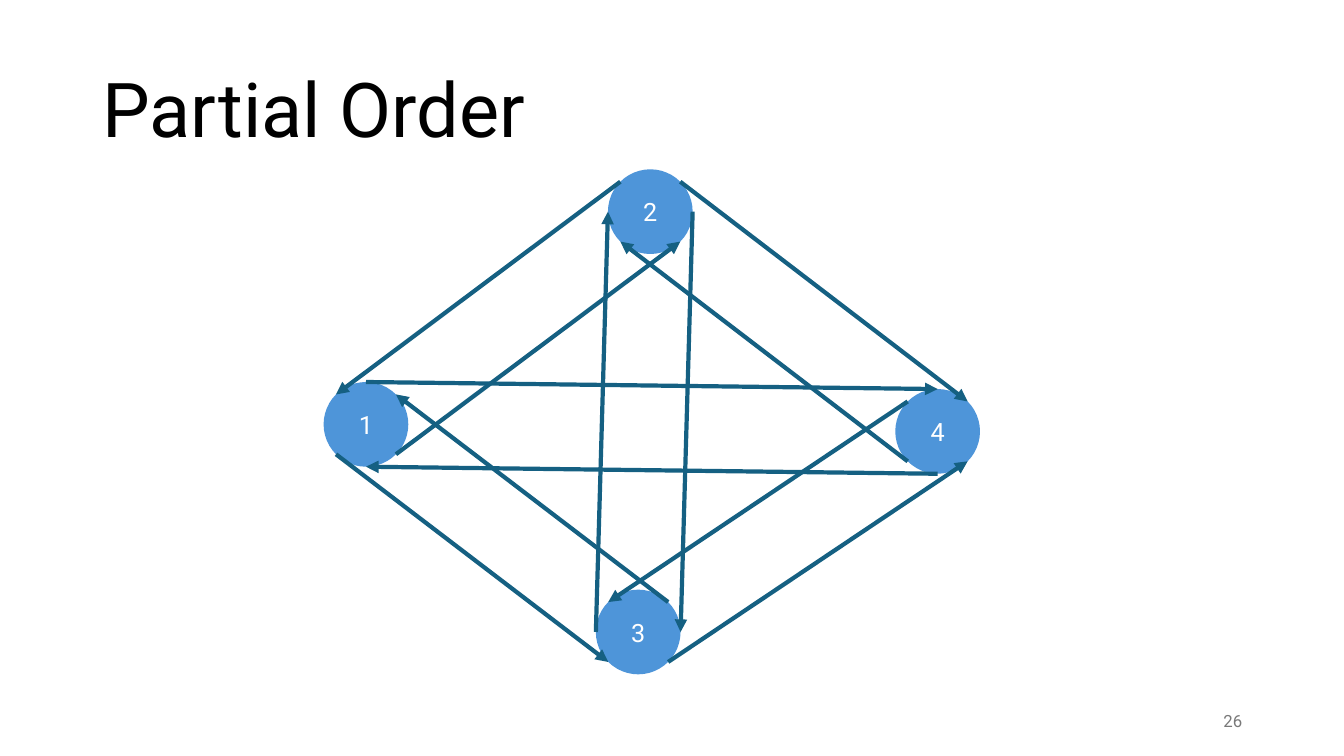
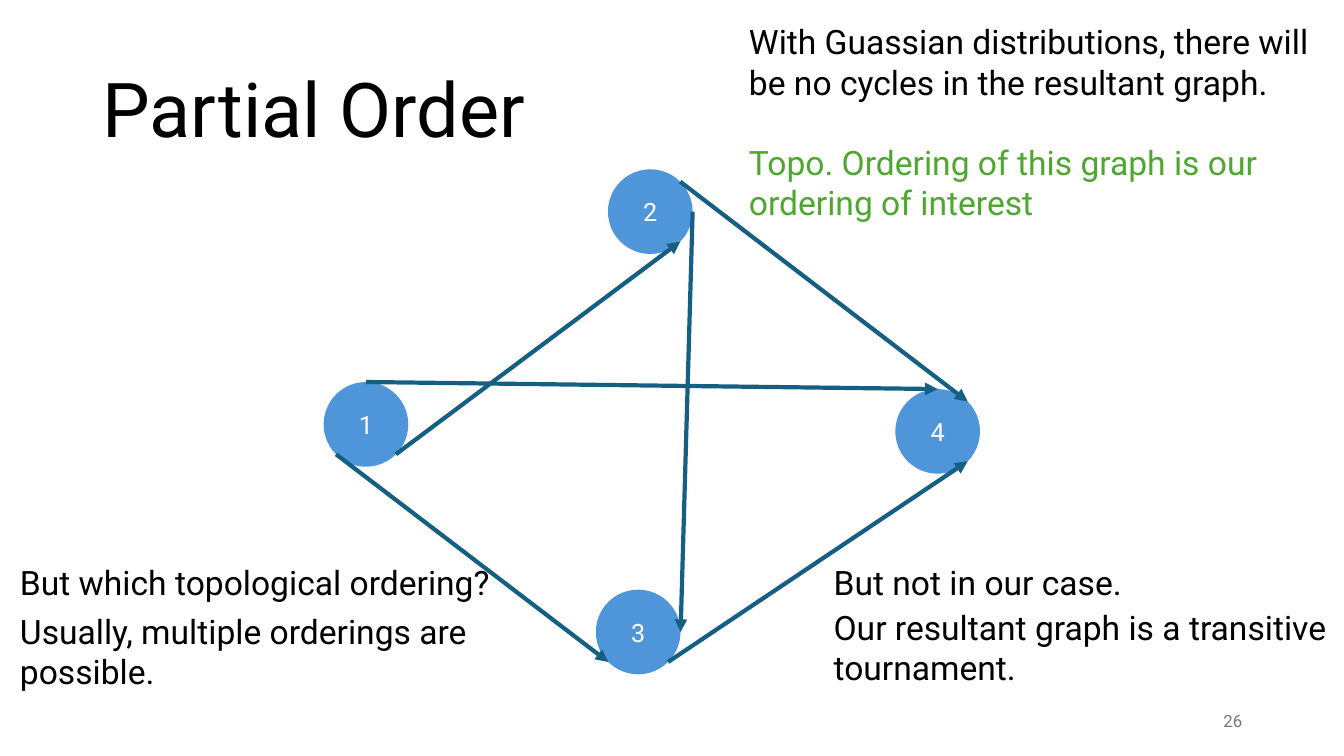
"""Build two slides on partial order, with all arrows and then the forward ones."""
from dataclasses import dataclass
from math import cos, radians, sin

from lxml import etree
from pptx import Presentation
from pptx import util as u
from pptx.dml.color import RGBColor
from pptx.enum import shapes, text
from pptx.oxml.ns import qn
from pptx.slide import Slide

HUES = {"ink": "000000", "node": "4E95D9", "arrow": "156082",
        "label": "FFFFFF", "accent": "4EA72E", "page": "797979"}
FONT = "Roboto"
ROUND = 0.42
SIDES = {"E": 0, "SE": 45, "S": 90, "SW": 135, "W": 180, "NW": 225, "N": 270, "NE": 315}


@dataclass(frozen=True)
class Node:
    x: float
    y: float

    def edge(self, side: str) -> tuple[u.Length, u.Length]:
        turn = radians(SIDES[side])
        return u.Inches(self.x + ROUND * cos(turn)), u.Inches(self.y + ROUND * sin(turn))


@dataclass(frozen=True)
class Arrow:
    start: int
    end: int
    side: str


@dataclass(frozen=True)
class Line:
    words: str
    hue: str = "ink"
    gap: float = 0


@dataclass(frozen=True)
class Note:
    left: float
    top: float
    width: float
    height: float
    lines: tuple[Line, ...]
    size: int = 24
    align: text.PP_ALIGN = text.PP_ALIGN.LEFT
    anchor: text.MSO_ANCHOR = text.MSO_ANCHOR.TOP
    pitch: float = 1.0


NODES = {1: Node(3.63, 4.21), 3: Node(6.33, 6.27), 4: Node(9.3, 4.28), 2: Node(6.45, 2.1)}
ARROWS = (
    Arrow(1, 2, "SE"), Arrow(3, 4, "SE"), Arrow(4, 3, "NW"), Arrow(2, 1, "NW"),
    Arrow(2, 4, "NE"), Arrow(1, 3, "SW"), Arrow(4, 2, "SW"), Arrow(3, 1, "NE"),
    Arrow(4, 1, "S"), Arrow(1, 4, "N"), Arrow(2, 3, "E"), Arrow(3, 2, "W"),
)
FORWARD = tuple(arrow for arrow in ARROWS if arrow.start < arrow.end)
TITLE = Note(0.92, 0.4, 11.5, 1.45, (Line("Partial Order"),), 54,
             anchor=text.MSO_ANCHOR.MIDDLE, pitch=0.9)
PAGE = Note(9.42, 6.95, 3, 0.4, (Line("26", "page"),), 12,
            text.PP_ALIGN.RIGHT, text.MSO_ANCHOR.MIDDLE)
WIDE = 5.94
NOTES = (
    Note(7.33, 0.16, WIDE, 2.12, (
        Line("With Guassian distributions, there will be no cycles in the resultant graph."),
        Line("Topo. Ordering of this graph is our ordering of interest", "accent", 28.8))),
    Note(0.1, 5.53, WIDE, 0.5, (Line("But which topological ordering?"),)),
    Note(0.1, 6.01, WIDE, 0.91, (Line("Usually, multiple orderings are possible."),)),
    Note(8.17, 5.53, WIDE, 0.5, (Line("But not in our case."),)),
    Note(8.17, 5.97, WIDE, 0.91, (Line("Our resultant graph is a transitive tournament."),)),
)


def tint(name: str) -> RGBColor:
    return RGBColor.from_string(HUES[name])


def add_run(para, words: str, size: int, hue: str) -> None:
    run = para.add_run()
    run.text = words
    run.font.name = FONT
    run.font.size = u.Pt(size)
    run.font.color.rgb = tint(hue)


def add_note(slide: Slide, note: Note) -> None:
    box = slide.shapes.add_textbox(u.Inches(note.left), u.Inches(note.top),
                                   u.Inches(note.width), u.Inches(note.height))
    frame = box.text_frame
    frame.word_wrap = True
    frame.vertical_anchor = note.anchor
    for spot, line in enumerate(note.lines):
        para = frame.add_paragraph() if spot else frame.paragraphs[0]
        para.alignment = note.align
        para.line_spacing = note.pitch
        para.space_before = u.Pt(line.gap)
        add_run(para, line.words, note.size, line.hue)


def add_node(slide: Slide, label: int, node: Node) -> None:
    disc = slide.shapes.add_shape(
        shapes.MSO_SHAPE.OVAL, u.Inches(node.x - ROUND), u.Inches(node.y - ROUND),
        u.Inches(2 * ROUND), u.Inches(2 * ROUND))
    disc.shadow.inherit = False
    disc.fill.solid()
    disc.fill.fore_color.rgb = tint("node")
    disc.line.fill.background()
    disc.text_frame.vertical_anchor = text.MSO_ANCHOR.MIDDLE
    para = disc.text_frame.paragraphs[0]
    para.alignment = text.PP_ALIGN.CENTER
    add_run(para, str(label), 18, "label")


def add_arrow(slide: Slide, arrow: Arrow) -> None:
    link = slide.shapes.add_connector(
        shapes.MSO_CONNECTOR.STRAIGHT,
        *NODES[arrow.start].edge(arrow.side), *NODES[arrow.end].edge(arrow.side))
    link.line.color.rgb = tint("arrow")
    link.line.width = u.Pt(3)
    etree.SubElement(link.get_or_add_ln(), qn("a:tailEnd"), type="triangle")
    etree.SubElement(link.element.spPr, qn("a:effectLst"))


def add_graph(deck, arrows: tuple[Arrow, ...], notes: tuple[Note, ...] = ()) -> None:
    slide = deck.slides.add_slide(deck.slide_layouts[6])
    add_note(slide, TITLE)
    for label, node in NODES.items():
        add_node(slide, label, node)
    for arrow in arrows:
        add_arrow(slide, arrow)
    for note in (*notes, PAGE):
        add_note(slide, note)


def main() -> None:
    deck = Presentation()
    deck.slide_width, deck.slide_height = u.Inches(13.33), u.Inches(7.5)
    add_graph(deck, ARROWS)
    add_graph(deck, FORWARD, NOTES)
    deck.save("out.pptx")


if __name__ == "__main__":
    main()
